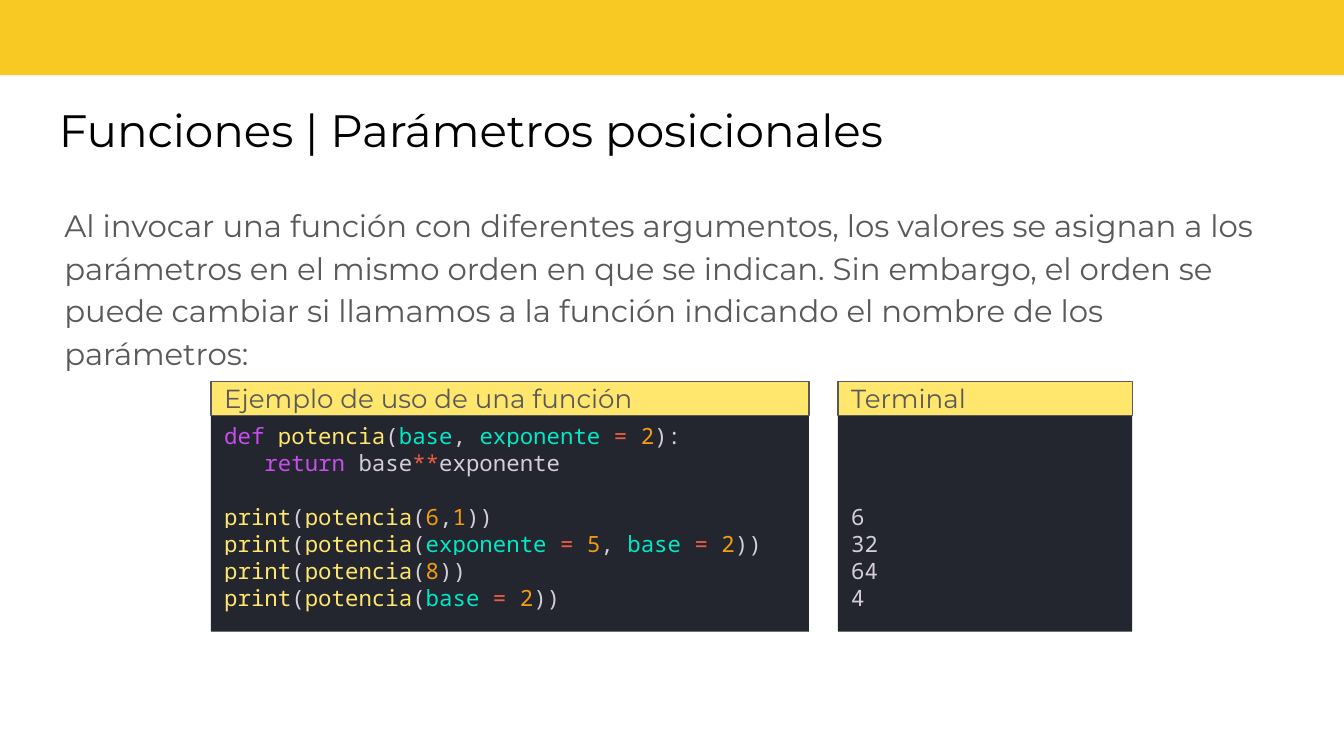
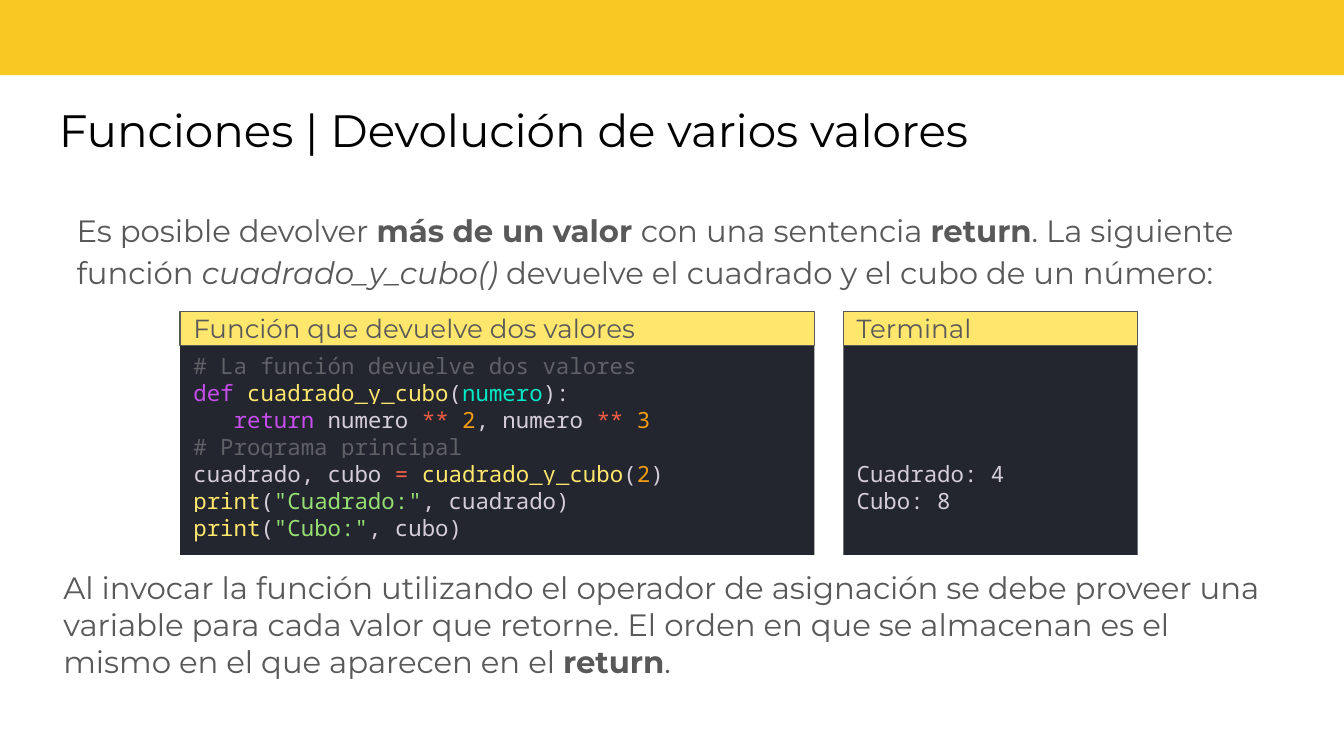
from dataclasses import dataclass

from lxml.etree import SubElement
from pptx import Presentation
from pptx.dml.color import RGBColor as RGB
from pptx.enum.shapes import MSO_SHAPE as SHAPE
from pptx.enum.text import MSO_ANCHOR as ANCHOR, PP_ALIGN as ALIGN
from pptx.oxml.ns import qn
from pptx.util import Pt


@dataclass(frozen=True)
class Theme:
    sans: str = "Montserrat"
    mono: str = "Noto Sans Mono"
    band: str = "F8C823"
    header: str = "FFE66D"
    editor: str = "23262E"
    black: str = "000000"
    grey: str = "595959"
    title_size: float = 24.3
    body_size: float = 16.5
    header_size: float = 14
    code_size: float = 12
    code_line: float = 14.45
    code_indent: float = 21.6


T = Theme()

PROSE = {
    "title": (T.title_size, T.black, False, False),
    "header": (T.header_size, T.grey, False, False),
    "body": (T.body_size, T.grey, False, False),
    "bold": (T.body_size, T.grey, True, False),
    "italic": (T.body_size, T.grey, False, True),
}
SYNTAX = {
    "plain": "D5CED9",
    "key": "C74DED",
    "func": "FFE66D",
    "param": "00E8C6",
    "op": "EE5D43",
    "num": "F39C12",
    "str": "96E072",
    "note": "5F6167",
}


def add_runs(p, runs):
    """Add (style, text) runs; syntax styles are set as highlighted code."""
    for style, text in runs:
        code = style in SYNTAX
        size, color, bold, italic = (
            (T.code_size, SYNTAX[style], False, False) if code else PROSE[style])
        r = p.add_run()
        r.text = text
        r.font.size, r.font.bold, r.font.italic = Pt(size), bold, italic
        r.font.color.rgb = RGB.from_string(color)
        if code:
            mark = SubElement(r.font._element, qn("a:highlight"))
            SubElement(mark, qn("a:srgbClr")).set("val", T.editor)
        r.font.name = T.mono if code else T.sans


def add_box(s, box, fill=None, line=None, inset=(7.2, 3.6), anchor=ANCHOR.TOP):
    """Add a filled rectangle, or a text box when there is no fill."""
    box = [Pt(v) for v in box]
    if fill:
        sp = s.shapes.add_shape(SHAPE.RECTANGLE, *box)
        sp.shadow.inherit = False
        sp.fill.solid()
        sp.fill.fore_color.rgb = RGB.from_string(fill)
        if line:
            sp.line.color.rgb = RGB.from_string(line)
            sp.line.width = Pt(0.75)
        else:
            sp.line.fill.background()
    else:
        sp = s.shapes.add_textbox(*box)
    tf = sp.text_frame
    tf.word_wrap = True
    tf.vertical_anchor = anchor
    tf.margin_left = tf.margin_right = Pt(inset[0])
    tf.margin_top = tf.margin_bottom = Pt(inset[1])
    tf.paragraphs[0].alignment = ALIGN.LEFT
    return tf


# Code lines are lists of runs; None is a skipped line.
SPACED_EQUALS = [("plain", " "), ("op", "="), ("plain", " ")]
PRINT = [("func", "print"), ("plain", "(")]
PRINT_POTENCIA = [*PRINT, ("func", "potencia"), ("plain", "(")]
BASE_2 = [("param", "base"), *SPACED_EQUALS, ("num", "2")]
CLOSE = ("plain", "))")

POTENCIA = [
    [("key", "def"), ("plain", " "), ("func", "potencia"), ("plain", "("),
     ("param", "base"), ("plain", ", "), ("param", "exponente"),
     *SPACED_EQUALS, ("num", "2"), ("plain", "):")],
    [("key", "return"), ("plain", " base"), ("op", "**"), ("plain", "exponente")],
    None,
    [*PRINT_POTENCIA, ("num", "6"), ("plain", ","), ("num", "1"), CLOSE],
    [*PRINT_POTENCIA, ("param", "exponente"), *SPACED_EQUALS, ("num", "5"),
     ("plain", ", "), *BASE_2, CLOSE],
    [*PRINT_POTENCIA, ("num", "8"), CLOSE],
    [*PRINT_POTENCIA, *BASE_2, CLOSE],
]
CUADRADO_Y_CUBO = [
    [("note", "# La función devuelve dos valores")],
    [("key", "def"), ("plain", " "), ("func", "cuadrado_y_cubo"), ("plain", "("),
     ("param", "numero"), ("plain", "):")],
    [("key", "return"), ("plain", " numero "), ("op", "**"), ("plain", " "),
     ("num", "2"), ("plain", ", numero "), ("op", "**"), ("plain", " "), ("num", "3")],
    [("note", "# Programa principal")],
    [("plain", "cuadrado, cubo"), *SPACED_EQUALS, ("func", "cuadrado_y_cubo"),
     ("plain", "("), ("num", "2"), ("plain", ")")],
    [*PRINT, ("str", '"Cuadrado:"'), ("plain", ", cuadrado)")],
    [*PRINT, ("str", '"Cubo:"'), ("plain", ", cubo)")],
]

# Each text: box, insets, line spacing, runs.
# Panels: left, top, code width, body height.
SLIDES = [
    dict(
        title="Funciones | Parámetros posicionales",
        texts=[((34.5, 100.8, 651.6, 257.8), (0, 7.2), 1.15, [
            ("body", "Al invocar una función con diferentes argumentos, los valores "
                     "se asignan a los parámetros en el mismo orden en que se indican. "
                     "Sin embargo, el orden se puede cambiar si llamamos a la función "
                     "indicando el nombre de los parámetros:")])],
        panels=(113, 204.5, 320.4, 116),
        header="Ejemplo de uso de una función",
        code=POTENCIA,
        output=[None] * 3 + [[("plain", v)] for v in ("6", "32", "64", "4")],
    ),
    dict(
        title="Funciones | Devolución de varios valores",
        texts=[
            ((34, 103, 652.3, 62), (7.2, 7.2), 1.15, [
                ("body", "Es posible devolver "), ("bold", "más de un valor "),
                ("body", "con una sentencia "), ("bold", "return"),
                ("body", ". La siguiente función "), ("italic", "cuadrado_y_cubo()"),
                ("body", " devuelve el cuadrado y el cubo de un número:")]),
            ((34, 297.4, 651.6, 72.7), (0, 7.2), 1.0, [
                ("body", "Al invocar la función utilizando el operador de asignación "
                         "se debe proveer una variable para cada valor que retorne. "
                         "El orden en que se almacenan es el mismo en el que aparecen "
                         "en el "),
                ("bold", "return"), ("body", ".")]),
        ],
        panels=(96.5, 167, 339.8, 112.3),
        header="Función que devuelve dos valores",
        code=CUADRADO_Y_CUBO,
        output=[None] * 4 + [[("plain", v)] for v in ("Cuadrado: 4", "Cubo: 8")],
    ),
]
HEADER_H, PANEL_GAP, TERMINAL_W = 18, 15.5, 157.7

prs = Presentation()
prs.slide_width, prs.slide_height = Pt(720), Pt(405)

for page in SLIDES:
    s = prs.slides.add_slide(prs.slide_layouts[6])
    add_box(s, (-1, -3.6, 722, 43.9), T.band)
    tf = add_box(s, (24.5, 46.8, 669.6, 45.4), inset=(7.2, 7.2), anchor=ANCHOR.MIDDLE)
    add_runs(tf.paragraphs[0], [("title", page["title"])])

    for box, inset, spacing, runs in page["texts"]:
        p = add_box(s, box, inset=inset).paragraphs[0]
        p.line_spacing = spacing
        add_runs(p, runs)

    left, top, code_w, body_h = page["panels"]
    for x, w, header, lines in (
        (left, code_w, page["header"], page["code"]),
        (left + code_w + PANEL_GAP, TERMINAL_W, "Terminal", page["output"]),
    ):
        tf = add_box(s, (x, top + HEADER_H, w, body_h), T.editor)
        p, skipped = None, 0
        for runs in lines:
            if runs is None:
                skipped += 1
                continue
            gap, skipped = skipped * T.code_line, 0
            if p is None:
                p = tf.paragraphs[0]
                tf.margin_top = Pt(3.6 + gap)
            else:
                p = tf.add_paragraph()
                p.space_before = Pt(gap)
            p.alignment = ALIGN.LEFT
            p.line_spacing = Pt(T.code_line)
            if runs[0] == ("key", "return"):
                p._p.get_or_add_pPr().set("marL", str(Pt(T.code_indent)))
            add_runs(p, runs)

        tf = add_box(s, (x, top, w, HEADER_H), T.header, T.grey, anchor=ANCHOR.MIDDLE)
        add_runs(tf.paragraphs[0], [("header", header)])

prs.save("out.pptx")
